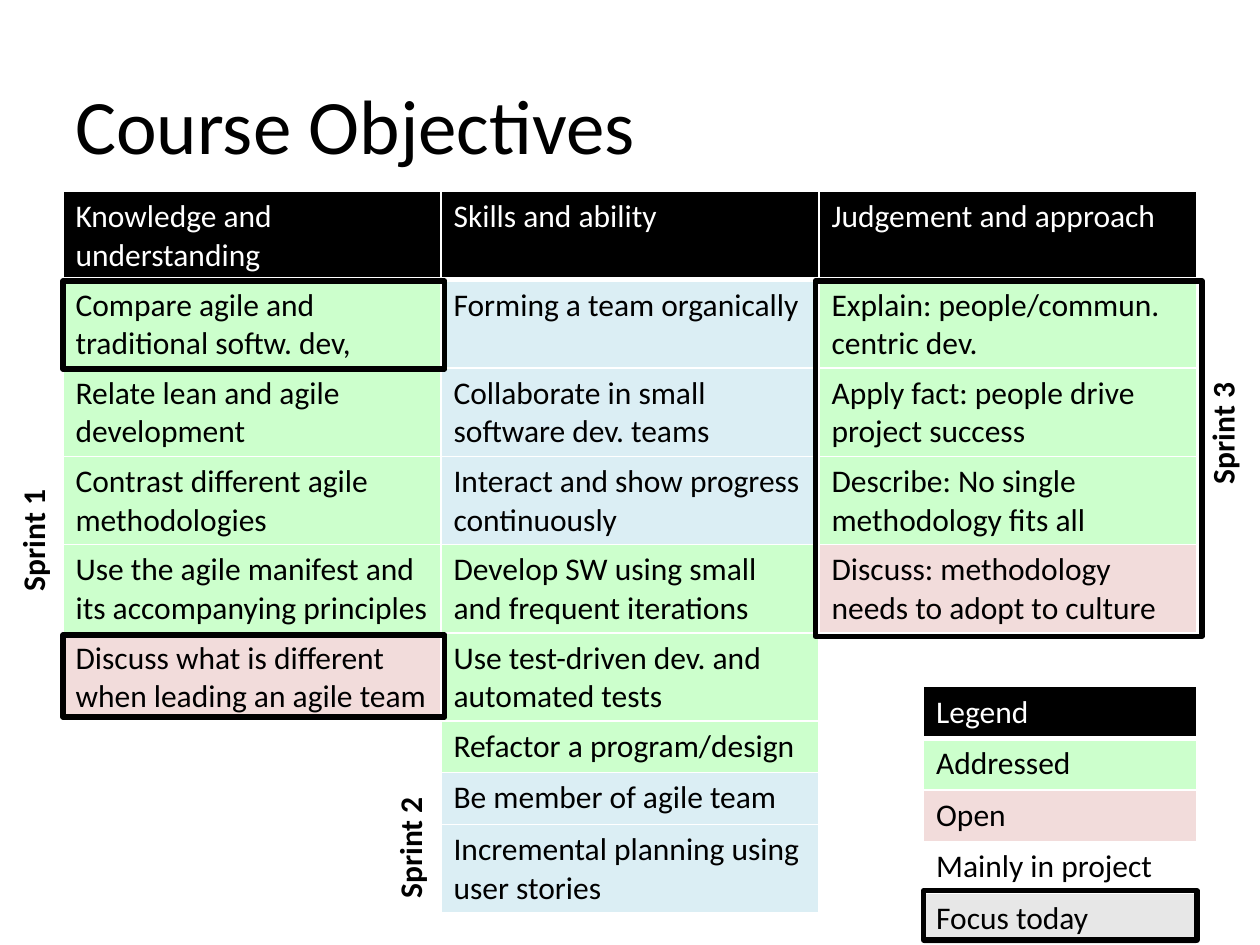
from dataclasses import dataclass

from lxml import etree
from pptx import Presentation
from pptx.dml.color import RGBColor
from pptx.enum.shapes import MSO_SHAPE
from pptx.enum.text import MSO_ANCHOR, MSO_AUTO_SIZE
from pptx.oxml.ns import qn
from pptx.util import Inches, Pt

RECTANGLE = MSO_SHAPE.RECTANGLE
MIDDLE = MSO_ANCHOR.MIDDLE
GROW = MSO_AUTO_SIZE.SHAPE_TO_FIT_TEXT

SLIDE_WIDTH, SLIDE_HEIGHT = Inches(10), Inches(7.5)
GRID_COLUMNS, GRID_ROWS = 20, 15
TABLE_ROW = 0.82


@dataclass(frozen=True)
class Theme:
    font: str = "Calibri"
    title_size: int = 44
    body_size: int = 18
    ink: str = "000000"
    paper: str = "FFFFFF"
    addressed: str = "CCFFCC"
    unresolved: str = "F2DCDB"
    project: str = "DBEEF4"
    focus: str = "E7E7E7"
    rule: int = 1
    heavy_rule: int = 3


@dataclass(frozen=True)
class Box:
    column: float
    row: float
    columns: float
    rows: float

    def place(self):
        across = SLIDE_WIDTH / GRID_COLUMNS
        down = SLIDE_HEIGHT / GRID_ROWS
        return (round(self.column * across), round(self.row * down),
                round(self.columns * across), round(self.rows * down))


THEME = Theme()
DONE, OPEN, PROJECT = THEME.addressed, THEME.unresolved, THEME.project
EMPTY = ("", THEME.paper)

OBJECTIVES_HEADER = ["Knowledge and understanding", "Skills and ability",
                     "Judgement and approach"]
OBJECTIVES = [
    [("Compare agile and traditional softw. dev,", DONE),
     ("Forming a team organically", PROJECT),
     ("Explain: people/commun. centric dev.", DONE)],
    [("Relate lean and agile development", DONE),
     ("Collaborate in small software dev. teams", PROJECT),
     ("Apply fact: people drive project success", DONE)],
    [("Contrast different agile methodologies", DONE),
     ("Interact and show progress continuously", PROJECT),
     ("Describe: No single methodology fits all", DONE)],
    [("Use the agile manifest and its accompanying principles", DONE),
     ("Develop SW using small and frequent iterations", DONE),
     ("Discuss: methodology needs to adopt to culture", OPEN)],
    [("Discuss what is different when leading an agile team", OPEN),
     ("Use test-driven dev. and automated tests", DONE), EMPTY],
    [EMPTY, ("Refactor a program/design", DONE), EMPTY],
    [EMPTY, ("Be member of agile team", PROJECT), EMPTY],
    [EMPTY, ("Incremental planning using user stories", PROJECT), EMPTY],
]
LEGEND = [[("Addressed", DONE)], [("Open", OPEN)],
          [("Mainly in project", THEME.paper)], [("Focus today", THEME.focus)]]
SPRINTS = [("Sprint 1", -0.5, 8.16), ("Sprint 2", 5.48, 13.04),
           ("Sprint 3", 18.38, 6.46)]
FOCUS_BOXES = [Box(1, 4.46, 6.06, 1.4), Box(14.66, 14.14, 4.34, 0.78),
               Box(1, 10.08, 6.06, 1.3), Box(12.94, 4.46, 6.14, 5.64)]


def add_text(frame, text, size, color, bold=False):
    run = frame.paragraphs[0].add_run()
    run.text = text
    run.font.name = THEME.font
    run.font.size = Pt(size)
    run.font.bold = bold
    run.font.color.rgb = RGBColor.from_string(color)


def add_title(slide, box, text):
    frame = slide.shapes.add_textbox(*box.place()).text_frame
    frame.word_wrap = True
    frame.vertical_anchor = MIDDLE
    add_text(frame, text, THEME.title_size, THEME.ink)


def add_sprint(slide, box, text):
    label = slide.shapes.add_textbox(*box.place())
    label.rotation = 270
    label.text_frame.word_wrap = False
    label.text_frame.auto_size = GROW
    add_text(label.text_frame, text, THEME.body_size, THEME.ink, bold=True)


def add_borders(cell, bottom_width):
    properties = cell._tc.get_or_add_tcPr()
    widths = {"lnL": THEME.rule, "lnR": THEME.rule,
              "lnT": THEME.rule, "lnB": bottom_width}
    for side, width in widths.items():
        line = etree.SubElement(properties, qn("a:" + side), w=str(Pt(width)))
        fill = etree.SubElement(line, qn("a:solidFill"))
        etree.SubElement(fill, qn("a:srgbClr"), val=THEME.paper)


def add_cell(cell, text, fill, color, bottom_width):
    add_borders(cell, bottom_width)
    cell.fill.solid()
    cell.fill.fore_color.rgb = RGBColor.from_string(fill)
    if text:
        add_text(cell.text_frame, text, THEME.body_size, color)
    else:
        cell.text_frame.paragraphs[0].font.size = Pt(THEME.body_size)


def add_status_table(slide, box, header, body):
    table = slide.shapes.add_table(len(body) + 1, len(header), *box.place()).table
    table.first_row = False
    table.horz_banding = False
    for column, text in enumerate(header):
        add_cell(table.cell(0, column), text, THEME.ink, THEME.paper,
                 THEME.heavy_rule)
    for row, entries in enumerate(body, 1):
        for column, (text, fill) in enumerate(entries):
            add_cell(table.cell(row, column), text, fill, THEME.ink, THEME.rule)


def add_focus(slide, box):
    focus = slide.shapes.add_shape(RECTANGLE, *box.place())
    focus.shadow.inherit = False
    focus.fill.background()
    focus.line.color.rgb = RGBColor.from_string(THEME.ink)
    focus.line.width = Pt(THEME.heavy_rule)


def main():
    deck = Presentation()
    deck.slide_width, deck.slide_height = SLIDE_WIDTH, SLIDE_HEIGHT
    slide = deck.slides.add_slide(deck.slide_layouts[6])
    add_title(slide, Box(1, 1.02, 18, 1.88), "Course Objectives")
    add_status_table(slide, Box(1, 3.04, 18, TABLE_ROW * (len(OBJECTIVES) + 1)),
                     OBJECTIVES_HEADER, OBJECTIVES)
    for text, column, row in SPRINTS:
        add_sprint(slide, Box(column, row, 2.04, 0.8), text)
    add_status_table(slide, Box(14.66, 10.9, 4.34, TABLE_ROW * (len(LEGEND) + 1)),
                     ["Legend"], LEGEND)
    for box in FOCUS_BOXES:
        add_focus(slide, box)
    deck.save("out.pptx")


if __name__ == "__main__":
    main()
